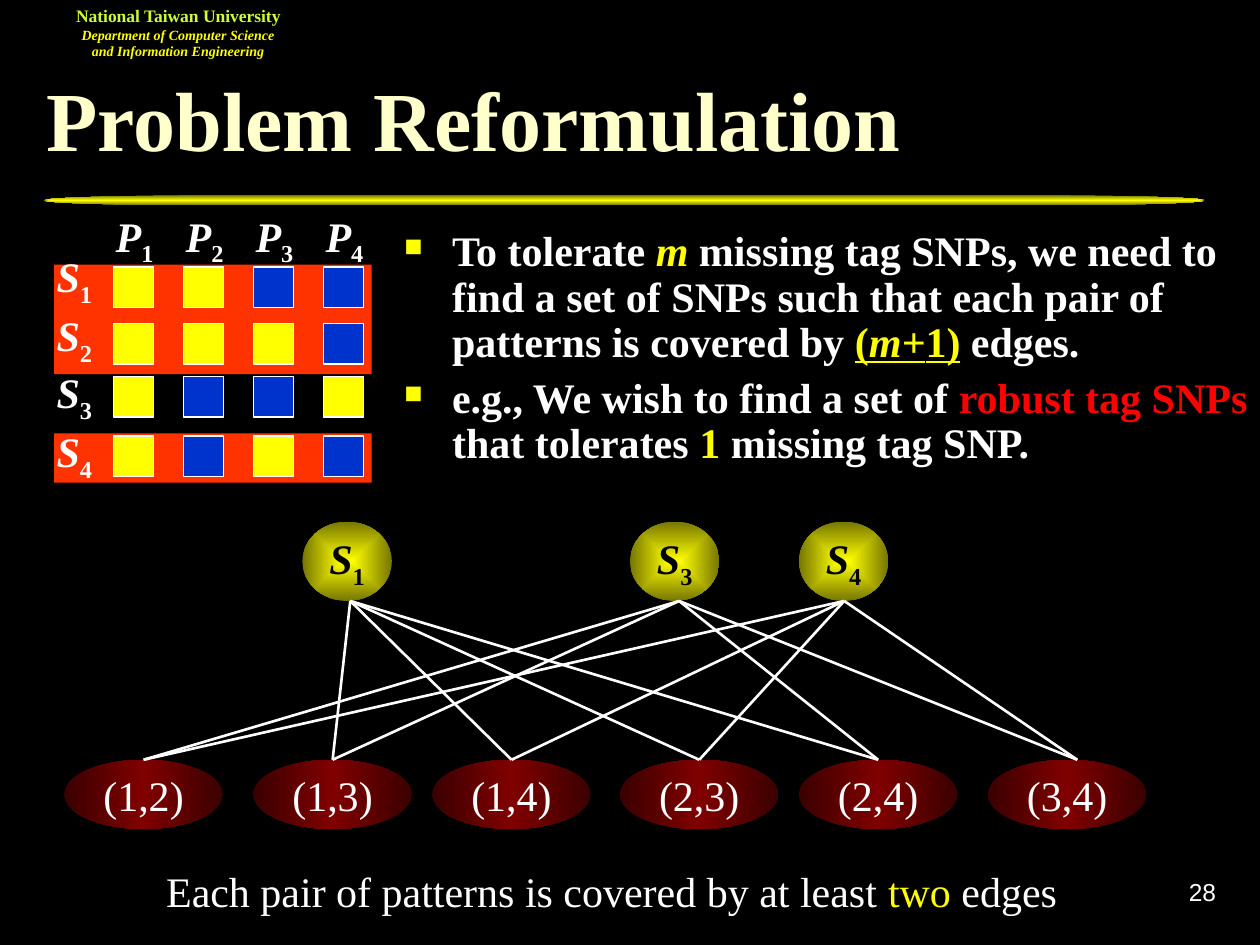
from dataclasses import dataclass
from itertools import combinations

import pptx
import pptx.dml.color
import pptx.enum.shapes
import pptx.enum.text
import pptx.oxml
import pptx.oxml.ns
import pptx.util

Inches = pptx.util.Inches
Pt = pptx.util.Pt
Shape = pptx.enum.shapes.MSO_SHAPE
Align = pptx.enum.text.PP_ALIGN
Anchor = pptx.enum.text.MSO_ANCHOR

COLORS = {
    "black": "000000", "white": "FFFFFF", "yellow": "FFFF00", "olive": "767600",
    "cream": "FFFFCC", "lime": "CCFF33", "blue": "0033CC", "orange": "FF3300",
    "red": "FF0000", "maroon": "800000", "dark maroon": "3B0000",
}
GOLD = [(0, "yellow"), (100, "olive")]
MAROON = [(0, "dark maroon"), (50, "maroon"), (100, "dark maroon")]
DRAWING = pptx.oxml.ns.nsdecls("a")


@dataclass
class Run:
    text: str
    color: str = "white"
    size: float = 24
    bold: bool = False
    italic: bool = False
    underline: bool = False
    subscript: bool = False
    font: str = "Times New Roman"


@dataclass
class Snp:
    number: int
    alleles: str  # one letter per pattern: Y yellow, B blue
    square_top: float
    label_top: float
    node_left: float | None = None
    edge_x: float = 0


SNPS = [
    Snp(1, "YYBB", 2.12, 1.94, 2.4, 2.78),
    Snp(2, "YYYB", 2.57, 2.41),
    Snp(3, "YBBY", 2.99, 2.86, 5, 5.39),
    Snp(4, "YBYB", 3.46, 3.33, 6.34, 6.7),
]
PAIR_LEFTS = [0.51, 2.01, 3.43, 4.92, 6.34, 7.84]
PAIR_TOP, PAIR_WIDTH, PAIR_HEIGHT = 6.03, 1.26, 0.55
NODE_TOP, NODE_WIDTH, NODE_HEIGHT = 4.14, 0.71, 0.63
COLUMN_STEP = 0.555


def rgb(name: str) -> pptx.dml.color.RGBColor:
    return pptx.dml.color.RGBColor.from_string(COLORS[name])


def add_runs(paragraph, runs: list[Run]) -> None:
    for item in runs:
        run = paragraph.add_run()
        run.text = item.text
        font = run.font
        font.name, font.size = item.font, Pt(item.size)
        font.bold, font.italic = item.bold, item.italic
        font.underline = item.underline
        font.color.rgb = rgb(item.color)
        if item.subscript:
            run._r.get_or_add_rPr().set("baseline", "-25000")


def add_text(slide, box: tuple, paragraphs: list[list[Run]], align=Align.LEFT,
             anchor=Anchor.TOP, line_spacing=None, space_before=0, inset=(0.1, 0.05)):
    shape = slide.shapes.add_textbox(*map(Inches, box))
    frame = shape.text_frame
    frame.word_wrap = True
    frame.vertical_anchor = anchor
    frame.margin_left = frame.margin_right = Inches(inset[0])
    frame.margin_top = frame.margin_bottom = Inches(inset[1])
    for index, runs in enumerate(paragraphs):
        paragraph = frame.add_paragraph() if index else frame.paragraphs[0]
        paragraph.alignment = align
        paragraph.line_spacing = line_spacing
        paragraph.space_before = Pt(space_before)
        add_runs(paragraph, runs)
    return shape


def add_bullet(paragraph) -> None:
    properties = paragraph._p.get_or_add_pPr()
    properties.set("marL", str(Inches(0.38)))
    properties.set("indent", str(Inches(-0.38)))
    for xml in (
        f'<a:buClr {DRAWING}><a:srgbClr val="{COLORS["yellow"]}"/></a:buClr>',
        f'<a:buSzPct {DRAWING} val="60000"/>',
        f'<a:buChar {DRAWING} char="■"/>',
    ):
        properties.append(pptx.oxml.parse_xml(xml))


def add_solid(slide, box: tuple, color: str, line: str | None = None) -> None:
    shape = slide.shapes.add_shape(Shape.RECTANGLE, *map(Inches, box))
    shape.shadow.inherit = False
    shape.fill.solid()
    shape.fill.fore_color.rgb = rgb(color)
    if line:
        shape.line.color.rgb = rgb(line)
        shape.line.width = Pt(0.75)
    else:
        shape.line.fill.background()


def add_gradient(slide, kind, box: tuple, stops: list[tuple], radial: bool, runs: list[Run] = ()):
    shape = slide.shapes.add_shape(kind, *map(Inches, box))
    shape.shadow.inherit = False
    shape.line.fill.background()
    stop_xml = "".join(f'<a:gs pos="{position * 1000}"><a:srgbClr val="{COLORS[color]}"/></a:gs>'
                       for position, color in stops)
    direction = ('<a:path path="rect"><a:fillToRect l="50000" t="50000" r="50000" b="50000"/></a:path>'
                 if radial else '<a:lin ang="0" scaled="1"/>')
    fill = pptx.oxml.parse_xml(
        f'<a:gradFill {DRAWING} rotWithShape="1"><a:gsLst>{stop_xml}</a:gsLst>{direction}</a:gradFill>')
    shape._element.spPr.find(pptx.oxml.ns.qn("a:prstGeom")).addnext(fill)
    frame = shape.text_frame
    frame.word_wrap = False
    frame.vertical_anchor = Anchor.MIDDLE
    frame.paragraphs[0].alignment = Align.CENTER
    add_runs(frame.paragraphs[0], runs)
    return shape


def add_edge(slide, start: tuple, end: tuple):
    edge = slide.shapes.add_connector(pptx.enum.shapes.MSO_CONNECTOR.STRAIGHT,
                                      *map(Inches, start + end))
    edge.line.color.rgb = rgb("white")
    edge.line.width = Pt(1.5)
    edge._element.spPr.append(pptx.oxml.parse_xml(f"<a:effectLst {DRAWING}/>"))
    return edge


def symbol(letter: str, number: int, color: str = "white") -> list[Run]:
    return [Run(letter, color, bold=True, italic=True),
            Run(str(number), color, bold=True, subscript=True)]


def draw_matrix(slide) -> None:
    # Highlighted rows, pattern headings, then one row per SNP
    add_solid(slide, (0.43, 2.1, 2.52, 0.87), "orange")
    add_solid(slide, (0.43, 3.44, 2.52, 0.39), "orange")
    for column in range(4):
        add_text(slide, (0.82 + column * COLUMN_STEP, 1.62, 0.55, 0.56),
                 [symbol("P", column + 1)], space_before=15)
    for snp in SNPS:
        add_text(slide, (0.35, snp.label_top, 0.55, 0.56), [symbol("S", snp.number)], space_before=15)
        for column, allele in enumerate(snp.alleles):
            add_solid(slide, (0.9 + column * COLUMN_STEP, snp.square_top, 0.32, 0.32),
                      "yellow" if allele == "Y" else "blue", "white")


def draw_graph(slide) -> None:
    pairs = list(combinations(range(4), 2))
    ellipses = [
        add_gradient(slide, Shape.OVAL, (left, PAIR_TOP, PAIR_WIDTH, PAIR_HEIGHT), MAROON, False,
                     [Run(f"({first + 1},{second + 1})")])
        for left, (first, second) in zip(PAIR_LEFTS, pairs)
    ]
    for snp in SNPS:
        if snp.node_left is None:
            continue
        add_gradient(slide, Shape.OVAL, (snp.node_left, NODE_TOP, NODE_WIDTH, NODE_HEIGHT),
                     GOLD, True, symbol("S", snp.number, "black"))
        # A SNP covers each pair of patterns whose alleles differ
        for (first, second), left, ellipse in zip(pairs, PAIR_LEFTS, ellipses):
            if snp.alleles[first] == snp.alleles[second]:
                continue
            last = ellipse is ellipses[-1]
            end_x = 8.55 if last else left + PAIR_WIDTH / 2
            edge = add_edge(slide, (snp.edge_x, NODE_TOP + NODE_HEIGHT), (end_x, PAIR_TOP))
            if not last:
                edge.end_connect(ellipse, 0)


def main() -> None:
    presentation = pptx.Presentation()
    presentation.slide_width, presentation.slide_height = Inches(10), Inches(7.5)
    slide = presentation.slides.add_slide(presentation.slide_layouts[6])
    slide.background.fill.solid()
    slide.background.fill.fore_color.rgb = rgb("black")

    # Header, title and rule
    add_gradient(slide, Shape.FLOWCHART_TERMINATOR, (0.35, 1.55, 9.21, 0.08), GOLD, True)
    add_text(slide, (0.43, -0.03, 1.97, 0.57), [
        [Run("National Taiwan University", "lime", 10, bold=True)],
        [Run("Department of Computer Science and Information Engineering", "yellow", 8,
             bold=True, italic=True)],
    ], Align.CENTER, inset=(0.13, 0.07))
    add_text(slide, (0.27, 0.52, 9.48, 1.02), [[Run("Problem Reformulation", "cream", 48, bold=True)]],
             anchor=Anchor.MIDDLE, line_spacing=0.7)

    draw_matrix(slide)
    draw_graph(slide)

    # Explanation
    explanation = add_text(slide, (3.11, 1.78, 6.89, 1.42), [
        [Run("To tolerate ", bold=True), Run("m", "yellow", bold=True, italic=True),
         Run(" missing tag SNPs, we need to find a set of SNPs such that each pair of "
             "patterns is covered by ", bold=True),
         Run("(", "yellow", bold=True, underline=True),
         Run("m+", "yellow", bold=True, italic=True, underline=True),
         Run("1)", "yellow", bold=True, underline=True), Run(" edges.", bold=True)],
        [Run("e.g., We wish to find a set of ", bold=True), Run("robust tag SNPs ", "red", bold=True),
         Run("that tolerates ", bold=True), Run("1", "yellow", bold=True),
         Run(" missing tag SNP.", bold=True)],
    ], line_spacing=0.9, space_before=6)
    for paragraph in explanation.text_frame.paragraphs:
        add_bullet(paragraph)

    # Conclusion and slide number
    add_text(slide, (1.22, 6.82, 7.48, 0.5), [
        [Run("Each pair of patterns is covered by at least "), Run("two", "yellow"), Run(" edges")],
    ], space_before=15)
    add_text(slide, (7.67, 6.83, 2.08, 0.5), [[Run("28", size=14, font="Arial")]],
             Align.RIGHT, Anchor.MIDDLE)
    presentation.save("out.pptx")


if __name__ == "__main__":
    main()
